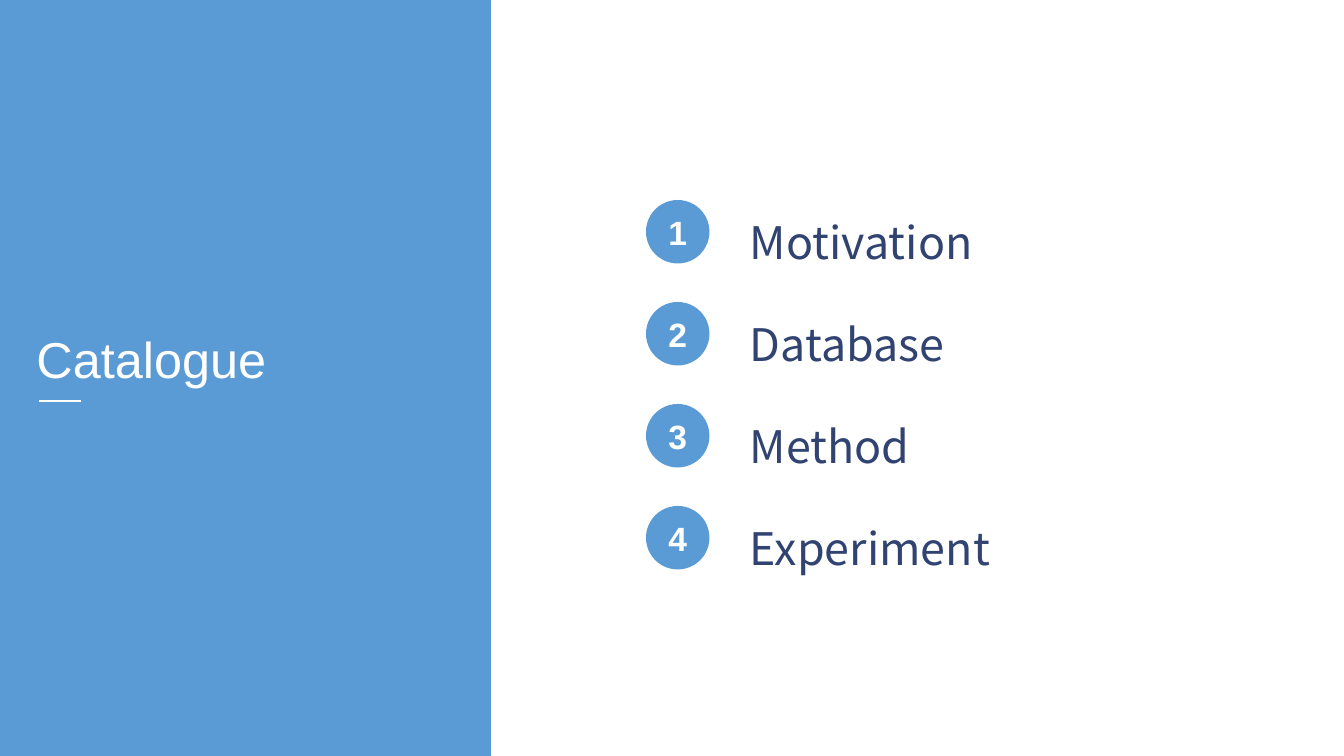
from lxml import etree
from pptx import Presentation
from pptx.dml.color import RGBColor
from pptx.enum.shapes import MSO_CONNECTOR, MSO_SHAPE
from pptx.enum.text import MSO_ANCHOR, MSO_AUTO_SIZE, PP_ALIGN
from pptx.oxml.ns import qn
from pptx.util import Cm, Pt

BLUE = RGBColor(0x5B, 0x9B, 0xD5)
NAVY = RGBColor(0x30, 0x43, 0x71)
WHITE = RGBColor(0xFF, 0xFF, 0xFF)

TITLE = {"name": "Arial", "size": Pt(36)}
NUMBER = {"name": "Arial", "size": Pt(24), "bold": True}
TOPIC = {"name": "Noto Sans CJK SC", "size": Pt(32)}

TOPICS = ["Motivation", "Database", "Method", "Experiment"]


def write(shape, text, font_format, color, align, **frame_format):
    """Put one formatted paragraph into a shape."""
    frame = shape.text_frame
    for key, value in frame_format.items():
        setattr(frame, key, value)
    paragraph = frame.paragraphs[0]
    paragraph.alignment = align
    run = paragraph.add_run()
    run.text = text
    for key, value in font_format.items():
        setattr(run.font, key, value)
    run.font.color.rgb = color


def add_filled(shapes, preset, left, top, width, height):
    """Add a blue preset shape with no outline or shadow."""
    shape = shapes.add_shape(preset, left, top, width, height)
    shape.shadow.inherit = False
    shape.fill.solid()
    shape.fill.fore_color.rgb = BLUE
    shape.line.fill.background()
    return shape


def add_title_panel(slide, left, top, width, height):
    """Draw the blue side panel with its heading and short rule."""
    add_filled(slide.shapes, MSO_SHAPE.RECTANGLE, left, top, width, height)
    heading = slide.shapes.add_textbox(
        left + Cm(0.64), top + Cm(8.15), Cm(6.35), Cm(1.8))
    write(heading, "Catalogue", TITLE, WHITE, PP_ALIGN.CENTER,
          word_wrap=False, auto_size=MSO_AUTO_SIZE.SHAPE_TO_FIT_TEXT)
    rule_left, rule_top = left + Cm(0.99), top + Cm(10.11)
    rule = slide.shapes.add_connector(
        MSO_CONNECTOR.STRAIGHT, rule_left, rule_top, rule_left + Cm(1.04), rule_top)
    rule.line.color.rgb = WHITE
    rule.line.width = Pt(1.5)
    etree.SubElement(rule._element.spPr, qn("a:effectLst"))


def add_topic(slide, number, topic, left, top, width):
    """Group a numbered disc with its topic."""
    disc_size, topic_offset = Cm(1.6), Cm(2.37)
    shapes = slide.shapes.add_group_shape().shapes
    disc = add_filled(shapes, MSO_SHAPE.OVAL, left, top, disc_size, disc_size)
    write(disc, str(number), NUMBER, WHITE, PP_ALIGN.CENTER,
          vertical_anchor=MSO_ANCHOR.MIDDLE)
    label = shapes.add_textbox(
        left + topic_offset, top + Cm(0.24), width - topic_offset, Cm(1.62))
    write(label, topic, TOPIC, NAVY, PP_ALIGN.LEFT,
          word_wrap=True, auto_size=MSO_AUTO_SIZE.SHAPE_TO_FIT_TEXT)


def add_topic_list(slide, left, top, width, pitch):
    """Stack the topics at an even pitch."""
    for index, topic in enumerate(TOPICS):
        add_topic(slide, index + 1, topic, left, top + index * pitch, width)


def main():
    """Build and save the catalogue slide."""
    presentation = Presentation()
    presentation.slide_width = Cm(33.87)
    presentation.slide_height = Cm(19.05)
    slide = presentation.slides.add_slide(presentation.slide_layouts[6])
    add_title_panel(slide, 0, 0, Cm(12.37), presentation.slide_height)
    add_topic_list(slide, Cm(16.28), Cm(5.04), Cm(14.69), Cm(2.57))
    presentation.save("out.pptx")


if __name__ == "__main__":
    main()
